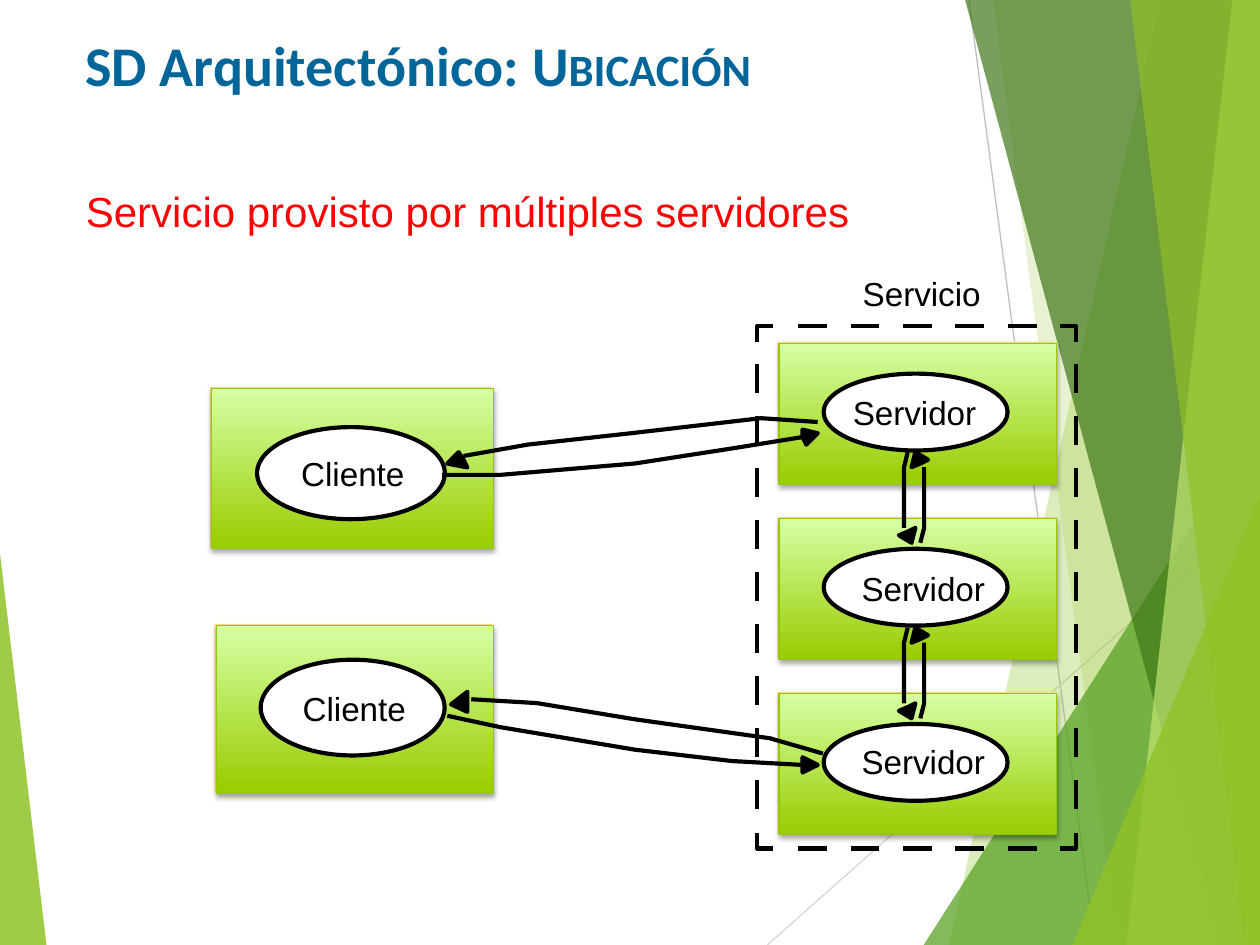
from lxml.etree import SubElement
from pptx import Presentation
from pptx.dml.color import RGBColor
from pptx.enum.shapes import MSO_CONNECTOR as Link, MSO_SHAPE as Kind
from pptx.enum.text import MSO_ANCHOR as Anchor, MSO_AUTO_SIZE as Fit
from pptx.oxml.ns import qn
from pptx.util import Pt

BLACK = RGBColor(0, 0, 0)
WHITE = RGBColor(255, 255, 255)
RED = RGBColor(255, 0, 0)
BLUE = RGBColor(0x00, 0x66, 0x99)
PEACH = RGBColor(0xFF, 0xDC, 0x99)
LIME = RGBColor(0x99, 0xCC, 0x00)
PALE = RGBColor(0xD6, 0xFF, 0xA5)
EDGE = RGBColor(0x96, 0xC8, 0x00)
LEAF = RGBColor(0x90, 0xC2, 0x26)
GRASS = RGBColor(0x54, 0xA0, 0x21)
MOSS = RGBColor(0x3F, 0x78, 0x18)
MINT = RGBColor(0xBF, 0xE4, 0x71)
GREY = RGBColor(0xBF, 0xBF, 0xBF)
SILVER = RGBColor(0xD8, 0xD8, 0xD8)
PEN = 2.38


def paint(shape, fill=None, line=None, width=PEN, alpha=None):
    """Set the fill, outline and opacity of a shape."""
    shape.shadow.inherit = False
    if fill is None:
        shape.fill.background()
    else:
        shape.fill.solid()
        shape.fill.fore_color.rgb = fill
    if alpha:
        tint = shape.fill._xPr.find(qn("a:solidFill"))[0]
        SubElement(tint, qn("a:alpha"), val=str(alpha * 1000))
    if line is None:
        shape.line.fill.background()
    else:
        shape.line.color.rgb = line
        shape.line.width = Pt(width)
    return shape


def block(shapes, kind, box, **style):
    """Add a preset shape in a box."""
    return paint(shapes.add_shape(kind, *map(Pt, box)), **style)


def trace(shapes, dots, x=0, y=0, close=False, **style):
    """Draw an outline through dots measured from x, y."""
    spots = [(Pt(x + a), Pt(y + b)) for a, b in dots]
    pen = shapes.build_freeform(*spots[0])
    pen.add_line_segments(spots[1:], close=close)
    return paint(pen.convert_to_shape(), **style)


def rule(shapes, start, end, color=BLACK, width=PEN):
    """Add a straight line."""
    line = shapes.add_connector(Link.STRAIGHT, *map(Pt, start + end))
    line.line.color.rgb = color
    line.line.width = Pt(width)
    SubElement(line._element.spPr, qn("a:effectLst"))


def write(shapes, box, *parts, size=19, font="Arial", color=BLACK, bold=False,
          wrap=False, inset=(0, 0), anchor=Anchor.TOP):
    """Add a line of text; a part given as a tuple is set in small capitals."""
    frame = shapes.add_textbox(*map(Pt, box)).text_frame
    frame.word_wrap = wrap
    frame.auto_size = Fit.NONE if wrap else Fit.SHAPE_TO_FIT_TEXT
    frame.vertical_anchor = anchor
    frame.margin_left = frame.margin_right = Pt(inset[0])
    frame.margin_top = frame.margin_bottom = Pt(inset[1])
    for part in parts:
        run = frame.paragraphs[0].add_run()
        small = isinstance(part, tuple)
        run.text = part[0] if small else part
        run.font.size, run.font.name = Pt(size), font
        run.font.bold, run.font.color.rgb = bold, color
        if small:
            run.font._element.set("cap", "small")


def facets(shapes, w, h):
    """Draw the green facets of the backdrop."""
    def shard(top, low, left, right, color, alpha):
        dots = [(top, 0), (left, 0), (right, h), (low, h)]
        trace(shapes, dots, close=True, fill=color, alpha=alpha)

    def wedge(box, tip, color, alpha):
        part = block(shapes, Kind.ISOSCELES_TRIANGLE, box, fill=color, alpha=alpha)
        part.adjustments[0] = tip

    rule(shapes, (553.7, 0), (625.7, h), GREY, 0.75)
    rule(shapes, (w, 290.2), (438.5, h), SILVER, 0.75)
    shard(663, 542.2, w, w, LEAF, 30)
    shard(567.4, 638.6, w, w, LEAF, 20)
    wedge((527.8, 239.8, 192.2, 300.2), 1, GRASS, 72)
    shard(551.5, 697, w, w, MOSS, 70)
    shard(704.2, 643.7, w, w, MINT, 70)
    shard(645.8, 711.4, w, w, LEAF, 65)
    wedge((612.7, 283, 107.3, 257), 1, LEAF, 80)
    wedge((0, 316, 26.6, 224), 0, LEAF, 85)


def node(shapes, box, oval, label, name):
    """Draw a machine with its named process inside."""
    x, y, w, h = box
    block(shapes, Kind.RECTANGLE, (x - 1, y - 1, w, h), fill=PEACH)
    card = block(shapes, Kind.RECTANGLE, box, line=EDGE, width=0.75)
    card.fill.gradient()
    card.fill.gradient_angle = 90
    for stop, color in zip(card.fill.gradient_stops, (LIME, PALE)):
        stop.color.rgb = color
    glow = card._element.spPr.find(qn("a:effectLst"))
    shade = SubElement(glow, qn("a:outerShdw"), blurRad=str(Pt(3.1)),
                       dist=str(Pt(1.8)), dir="5400000", rotWithShape="0")
    tint = SubElement(shade, qn("a:srgbClr"), val="000000")
    SubElement(tint, qn("a:alpha"), val="35000")
    a, b, wide, high = oval
    block(shapes, Kind.OVAL, (x + a, y + b, wide, high), fill=WHITE, line=BLACK)
    a, b, wide = label
    write(shapes, (x + a, y + b, wide, 23), name)


def fence(shapes, x, y, w, h):
    """Draw the dashed border of the service."""
    for a, da in ((x, 9), (x + w, -9)):
        for b, db in ((y, 9), (y + h, -9)):
            trace(shapes, [(a, b + db), (a, b), (a + da, b)], line=BLACK)
        for i in range(9):
            top = y + 21.4 + 29.75 * i
            rule(shapes, (a, top), (a, top + 16.5))
    for b in (y, y + h):
        for i in range(5):
            left = x + 23.3 + 30 * i
            rule(shapes, (left, b), (left + 16.4, b))


def arrows(shapes, x, y, pairs):
    """Draw bent arrows, each a head and a tail, from x, y."""
    for head, tail in pairs:
        trace(shapes, head, x, y, close=True, fill=BLACK, line=BLACK)
        trace(shapes, tail, x, y, line=BLACK)


PEER = [
    ([(5, 45.4), (9.4, 43.2), (7.2, 51.8), (0, 47.5)],
     [(2.9, 43.2), (2.9, 8.6), (5, 0)]),
    ([(12.2, 6.5), (7.2, 8.6), (9.4, 0), (16.6, 4.3)],
     [(14.4, 8.6), (14.4, 43.2), (12.2, 51.8)]),
]
UPPER = [
    ([(205.9, 10.8), (205.9, 6.5), (214.6, 8.6), (208.1, 15.1)],
     [(205.9, 10.8), (165.6, 17.3), (110.2, 25.9), (33.1, 32.4), (0, 32.4)]),
    ([(12.2, 23.8), (14.4, 28.1), (2.9, 25.9), (9.4, 19.4)],
     [(12.2, 21.6), (49, 15.1), (108, 8.6), (182.2, 0), (214.6, 2.2)]),
]
LOWER = [
    ([(203, 41.8), (203, 37.4), (211.7, 41.8), (203, 46.1)],
     [(203, 41.8), (162.7, 39.6), (107.3, 33.1), (30.2, 20.2), (0, 13.7)]),
    ([(11.5, 7.2), (11.5, 11.5), (2.2, 7.2), (11.5, 0)],
     [(13.7, 4.3), (51.1, 6.5), (107.3, 15.8), (184.3, 26.6), (214.6, 35.3)]),
]


def service(shapes, x, y, w, h):
    """Draw the three servers, their border and its caption."""
    for i, label in enumerate([(42.1, 27.7), (47.1, 28.4), (47.1, 26.9)]):
        node(shapes, (x + 12.5, y + 9.7 + 100.1 * i, 158.4, 80.6),
             (25.5, 17.3, 105.1, 43.9), label + (71.3,), "Servidor")
    fence(shapes, x, y, w, h)
    write(shapes, (x + 60.3, y - 30.4, 67.7, 23), "Servicio")
    for i in range(2):
        arrows(shapes, x + 81, y + 71.9 + 100.3 * i, PEER)


def main():
    """Build the slide and save it."""
    deck = Presentation()
    deck.slide_width, deck.slide_height = Pt(720), Pt(540)
    shapes = deck.slides.add_slide(deck.slide_layouts[6]).shapes
    facets(shapes, 720, 540)
    write(shapes, (41.8, 14, 648, 45.4), "SD Arquitectónico: ", ("Ubicación",),
          size=32, font="Calibri", color=BLUE, bold=True, wrap=True,
          inset=(7.2, 3.6), anchor=Anchor.BOTTOM)
    write(shapes, (42, 102.6, 643.7, 48.2), "Servicio provisto por múltiples servidores",
          size=24, color=RED, wrap=True, inset=(7.2, 3.6))
    service(shapes, 432.7, 186.5, 182, 298.4)
    node(shapes, (121, 222.2, 161, 91.4), (25.9, 21.9, 107.3, 52.6),
         (51.1, 37, 60), "Cliente")
    node(shapes, (123.6, 357.5, 158.4, 95.8), (25.4, 19.5, 105.1, 54.7),
         (49.3, 35.6, 60), "Cliente")
    arrows(shapes, 252.7, 239, UPPER)
    arrows(shapes, 255.6, 395.3, LOWER)
    deck.save("out.pptx")


if __name__ == "__main__":
    main()
